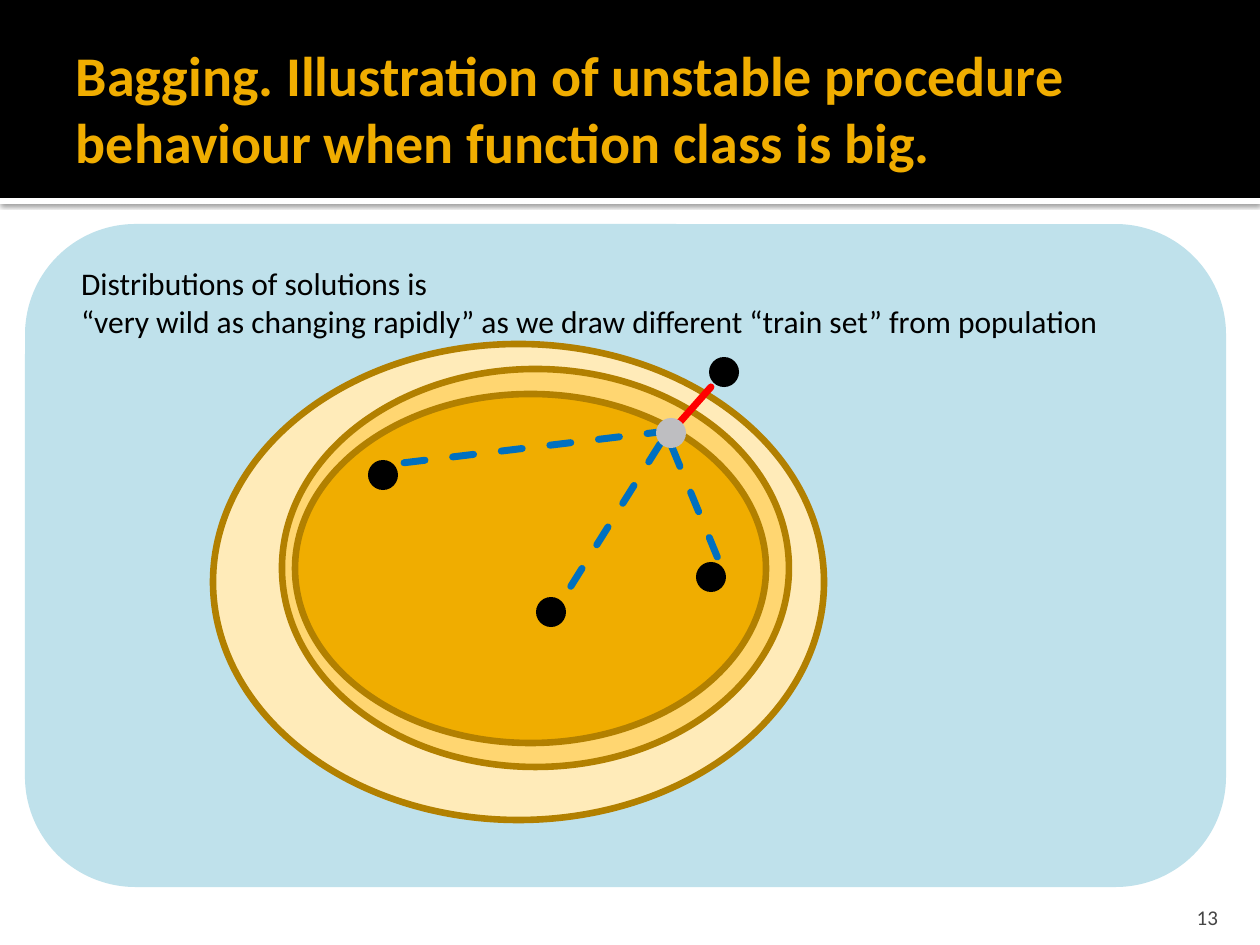
from lxml.etree import SubElement
from pptx import Presentation
from pptx.dml.color import RGBColor
from pptx.enum.dml import MSO_LINE
from pptx.enum.shapes import MSO_CONNECTOR, MSO_SHAPE
from pptx.enum.text import MSO_ANCHOR, PP_ALIGN
from pptx.oxml import parse_xml
from pptx.oxml.ns import nsdecls, qn
from pptx.util import Pt

PX = 914400 / 126
BLACK = RGBColor(0x00, 0x00, 0x00)
WHITE = RGBColor(0xFF, 0xFF, 0xFF)
PANEL = RGBColor(0xBF, 0xE1, 0xEB)
CREAM = RGBColor(0xFF, 0xEB, 0xB9)
YELLOW = RGBColor(0xFF, 0xD6, 0x71)
GOLD = RGBColor(0xF0, 0xAD, 0x00)
BROWN = RGBColor(0xB2, 0x80, 0x00)
RED = RGBColor(0xFF, 0x00, 0x00)
BLUE = RGBColor(0x00, 0x70, 0xC0)
SILVER = RGBColor(0xBE, 0xBE, 0xC1)
GREY = RGBColor(0x45, 0x45, 0x45)

prs = Presentation()
prs.slide_width, prs.slide_height = round(1260 * PX), round(945 * PX)
s = prs.slides.add_slide(prs.slide_layouts[6])


def add_shape(kind, box, fill, line=None):
    sp = s.shapes.add_shape(kind, *[round(v * PX) for v in box])
    sp.shadow.inherit = False
    sp.fill.solid()
    sp.fill.fore_color.rgb = fill
    if line is None:
        sp.line.fill.background()
    else:
        sp.line.color.rgb = line
        sp.line.width = Pt(3.78)
    return sp


def add_text(box, lines, size, color, anchor, insets, bold=False, align=PP_ALIGN.LEFT):
    tf = s.shapes.add_textbox(*[round(v * PX) for v in box]).text_frame
    tf.word_wrap = True
    tf.vertical_anchor = anchor
    tf.margin_left, tf.margin_top, tf.margin_right, tf.margin_bottom = [
        round(v * PX) for v in insets]
    tf.text = "\n".join(lines)
    for p in tf.paragraphs:
        p.alignment = align
        p.font.name = "Calibri"
        p.font.size = Pt(size)
        p.font.bold = bold
        p.font.color.rgb = color


# Header band with a shadowed white rule below it
rule = add_shape(MSO_SHAPE.RECTANGLE, (0, 198, 1260, 6), WHITE)
sp_pr = rule.fill._xPr
sp_pr.remove(sp_pr.find(qn("a:effectLst")))
sp_pr.append(parse_xml(
    f'<a:effectLst {nsdecls("a")}>'
    '<a:outerShdw blurRad="31750" dist="10160" dir="5400000" rotWithShape="0">'
    '<a:srgbClr val="000000"><a:alpha val="60000"/></a:srgbClr>'
    '</a:outerShdw></a:effectLst>'))
add_shape(MSO_SHAPE.RECTANGLE, (0, 0, 1260, 198), BLACK)

# Panel and nested function classes
add_shape(MSO_SHAPE.ROUNDED_RECTANGLE, (25, 224, 1201, 663), PANEL)
for box, fill in (
    ((213, 344, 611, 476), CREAM),
    ((282, 369, 507, 398), YELLOW),
    ((295, 394, 471, 349), GOLD),
):
    add_shape(MSO_SHAPE.OVAL, box, fill, BROWN)

# Solutions
DOT = 30
for x, y in ((709, 357), (368, 460), (696, 562), (536, 597)):
    add_shape(MSO_SHAPE.OVAL, (x, y, DOT, DOT), BLACK)

# Links from the solutions to the average
for ends, color, dash in (
    ((711, 387, 672, 431), RED, None),
    ((668, 431, 394, 464), BLUE, MSO_LINE.DASH),
    ((672, 447, 721, 566), BLUE, MSO_LINE.DASH),
    ((660, 444, 561, 602), BLUE, MSO_LINE.DASH),
):
    cx = s.shapes.add_connector(MSO_CONNECTOR.STRAIGHT, *[round(v * PX) for v in ends])
    cx.line.color.rgb = color
    cx.line.width = Pt(4)
    if dash:
        cx.line.dash_style = dash
    ln = cx.line._get_or_add_ln()
    ln.set("cap", "rnd")
    SubElement(ln.getparent(), qn("a:effectLst"))

# Average solution
add_shape(MSO_SHAPE.OVAL, (656, 418, DOT, DOT), SILVER)

# Title, slide number and caption
add_text((63, 21, 1134, 173),
         ["Bagging. Illustration of unstable procedure behaviour when function class is big."],
         32, GOLD, MSO_ANCHOR.MIDDLE, (13, 6, 6, 6), bold=True)
add_text((1130, 892, 101, 38), ["13"], 12, GREY, MSO_ANCHOR.BOTTOM,
         (13, 6, 13, 0), align=PP_ALIGN.RIGHT)
add_text((68, 258, 1181, 89),
         ["Distributions of solutions is",
          "“very wild as changing rapidly” as we draw different “train set” from population"],
         18, BLACK, MSO_ANCHOR.TOP, (13, 6, 13, 6))

prs.save("out.pptx")
